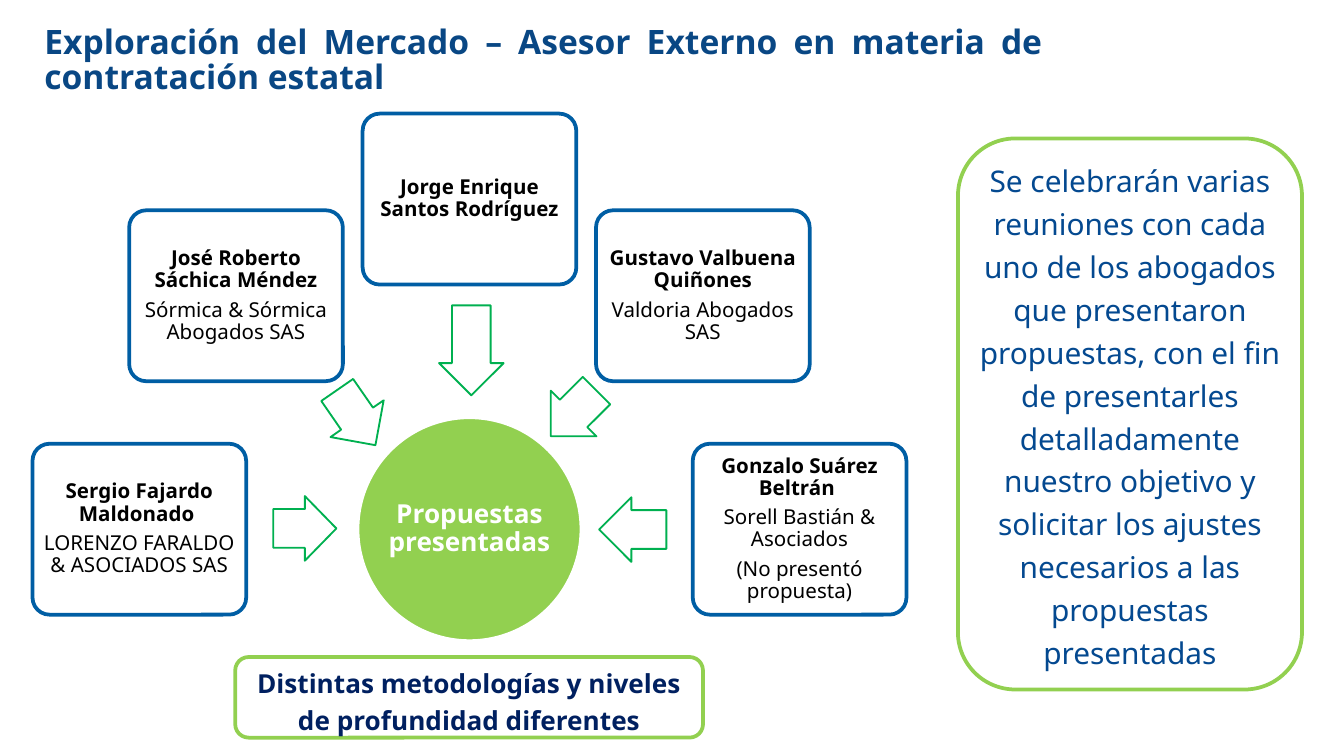
from dataclasses import dataclass
from math import cos, radians, sin
from typing import NamedTuple

from pptx import Presentation
from pptx.dml.color import RGBColor as Rgb
from pptx.enum.shapes import MSO_SHAPE as Preset
from pptx.enum.text import MSO_ANCHOR as Anchor, MSO_AUTO_SIZE as AutoSize, PP_ALIGN as Align
from pptx.util import Pt


class Box(NamedTuple):
    left: float
    top: float
    width: float
    height: float

    def inner(self, left, top, width, height):
        return Box(self.left + left, self.top + top, width, height)

    def lengths(self):
        return [Pt(value) for value in self]


def centered(x, y, width, height):
    return Box(x - width / 2, y - height / 2, width, height)


@dataclass(frozen=True)
class Theme:
    heading: str = "094784"
    message: str = "044990"
    conclusion: str = "002060"
    card: str = "005EA4"
    arrow: str = "00B050"
    accent: str = "92D050"
    white: str = "FFFFFF"
    black: str = "000000"
    heading_font: str = "Open Sans"
    text_font: str = "Noto Sans"
    heading_size: float = 18
    message_size: float = 16
    emphasis_size: float = 14
    card_size: float = 11


THEME = Theme()

CARD_PARAGRAPH = dict(alignment=Align.CENTER, line_spacing=0.9, space_after=Pt(3.9))
BOX_PARAGRAPH = dict(alignment=Align.CENTER, line_spacing=1.2)
TITLE_PARAGRAPH = dict(alignment=Align.JUSTIFY, line_spacing=0.85, space_before=Pt(0))

PROPOSALS = [
    (180, ["Sergio Fajardo Maldonado ", "LORENZO FARALDO & ASOCIADOS SAS"]),
    (225, ["José Roberto Sáchica Méndez", "Sórmica & Sórmica Abogados SAS"]),
    (270, ["Jorge Enrique Santos Rodríguez"]),
    (315, ["Gustavo Valbuena Quiñones", "Valdoria Abogados SAS"]),
    (0, ["Gonzalo Suárez Beltrán ", "Sorell Bastián & Asociados", "(No presentó propuesta)"]),
]
ARROWS = [
    (-88.2, -0.4, 33.8, 180),
    (-60.6, -59.8, 36, 235.3),
    (1, -95.8, 48.2, 270),
    (55.8, -62, 34.6, 315),
    (87.5, 0.2, 36, 0),
]


def apply(target, values):
    for name, value in values.items():
        setattr(target, name, value)


def write(frame, lines, size, color, paragraph_format, bold=(False,), inset=0,
          anchor=Anchor.MIDDLE, font=THEME.text_font):
    apply(frame, dict(word_wrap=True, auto_size=AutoSize.NONE, vertical_anchor=anchor))
    apply(frame, {f"margin_{side}": Pt(inset) for side in ("left", "top", "right", "bottom")})
    for index, line in enumerate(lines):
        paragraph = frame.add_paragraph() if index else frame.paragraphs[0]
        apply(paragraph, paragraph_format)
        run = paragraph.add_run()
        run.text = line
        weight = bold[min(index, len(bold) - 1)]
        apply(run.font, dict(name=font, size=Pt(size), bold=weight))
        run.font.color.rgb = Rgb.from_string(color)


def draw(slide, preset, box, line, width=2, fill=None, adjustments=()):
    shape = slide.shapes.add_shape(preset, *box.lengths())
    shape.shadow.inherit = False
    if fill:
        shape.fill.solid()
        shape.fill.fore_color.rgb = Rgb.from_string(fill)
    else:
        shape.fill.background()
    shape.line.color.rgb = Rgb.from_string(line)
    shape.line.width = Pt(width)
    for index, value in enumerate(adjustments):
        shape.adjustments[index] = value
    return shape


def heading(slide, box):
    title = slide.shapes.title
    apply(title, dict(zip(("left", "top", "width", "height"), box.lengths())))
    write(title.text_frame,
          ["Exploración del Mercado – Asesor Externo en materia de contratación estatal"],
          THEME.heading_size, THEME.heading, TITLE_PARAGRAPH, (True,),
          font=THEME.heading_font)


def framed_message(slide, box, message, size, color, bold):
    frame = draw(slide, Preset.ROUNDED_RECTANGLE, box, THEME.accent, fill=THEME.white)
    write(frame.text_frame, [message], size, color, BOX_PARAGRAPH, (bold,), anchor=Anchor.TOP)


def proposals_diagram(slide, box):
    card_width, card_height, hub_size, arrow_height = 114.5, 91.6, 120, 34.6
    center_x = box.left + box.width / 2
    center_y = box.top + box.height - card_height / 2
    radius = (box.width - card_width) / 2

    hub_box = centered(center_x, center_y, hub_size, hub_size)
    draw(slide, Preset.OVAL, hub_box, THEME.white, fill=THEME.accent)
    hub_label = slide.shapes.add_textbox(*hub_box.lengths())
    write(hub_label.text_frame, ["Propuestas presentadas"], THEME.emphasis_size, THEME.white,
          CARD_PARAGRAPH, (True,), 0.7)

    for x, y, length, rotation in ARROWS:
        arrow = draw(slide, Preset.LEFT_ARROW,
                     centered(center_x + x, center_y + y, length, arrow_height),
                     THEME.arrow, 1, adjustments=(0.6, 0.5))
        arrow.rotation = rotation

    for angle, lines in PROPOSALS:
        x = center_x + radius * cos(radians(angle))
        y = center_y + radius * sin(radians(angle))
        card = draw(slide, Preset.ROUNDED_RECTANGLE, centered(x, y, card_width, card_height),
                    THEME.card, adjustments=(0.1,))
        write(card.text_frame, lines, THEME.card_size, THEME.black, CARD_PARAGRAPH,
              (True, False), 1.5)


def market_slide(deck, page):
    slide = deck.slides.add_slide(deck.slide_layouts[5])
    heading(slide, page.inner(23.8, 5, 535, 56.2))
    framed_message(slide, page.inner(126, 352, 250.6, 43.2),
                   "Distintas metodologías y niveles de profundidad diferentes",
                   THEME.emphasis_size, THEME.conclusion, True)
    proposals_diagram(slide, page.inner(17.4, 61.1, 468.2, 268.2))
    framed_message(slide, page.inner(513.2, 74.2, 184.3, 295.2),
                   "Se celebrarán varias reuniones con cada uno de los abogados que "
                   "presentaron propuestas, con el fin de presentarles detalladamente "
                   "nuestro objetivo y solicitar los ajustes necesarios a las "
                   "propuestas presentadas",
                   THEME.message_size, THEME.message, False)


page = Box(0, 0, 720, 405)
deck = Presentation()
apply(deck, dict(slide_width=Pt(page.width), slide_height=Pt(page.height)))
market_slide(deck, page)
deck.save("out.pptx")
